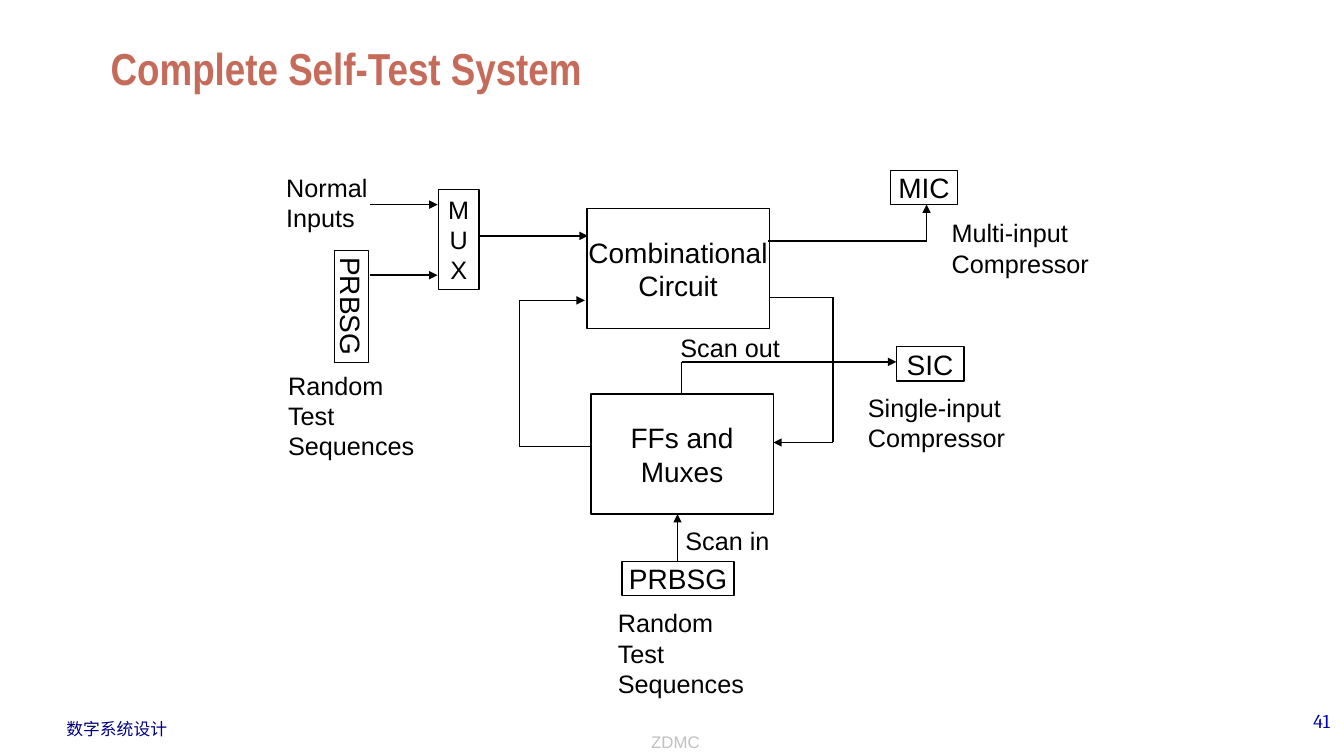
from lxml import etree
from pptx import Presentation
from pptx import util as u
from pptx.dml.color import RGBColor
from pptx.enum import shapes, text
from pptx.oxml import ns

PX = 9144
BLACK = RGBColor(0, 0, 0)
CORAL = RGBColor(0xC6, 0x6B, 0x5A)
NAVY = RGBColor(0, 0, 0x82)
BLUE = RGBColor(0, 0, 0xB6)
SILVER = RGBColor(0xC0, 0xC0, 0xC0)

LEFT, CENTER, RIGHT = text.PP_ALIGN.LEFT, text.PP_ALIGN.CENTER, text.PP_ALIGN.RIGHT
TOP, MIDDLE, BOTTOM = text.MSO_ANCHOR.TOP, text.MSO_ANCHOR.MIDDLE, text.MSO_ANCHOR.BOTTOM
SEQUENCES = "Random\nTest\vSequences"


def px(*lengths):
    return [u.Emu(length * PX) for length in lengths]


def apply(target, values):
    for name, value in values.items():
        setattr(target, name, value)


def write(shape, words, size, color=BLACK, align=LEFT, anchor=TOP, wrap=False, font="Arial", bold=False):
    frame = shape.text_frame
    frame.text = words
    apply(frame, {"word_wrap": wrap, "vertical_anchor": anchor})
    for paragraph in frame.paragraphs:
        paragraph.alignment = align
        for run in paragraph.runs:
            apply(run.font, {"name": font, "size": u.Pt(size), "bold": bold})
            run.font.color.rgb = color
            properties = run.font._element
            for tag in ("a:ea", "a:cs"):
                etree.SubElement(properties, ns.qn(tag), typeface=font)


def add_text(slide, box, words, size, **style):
    shape = slide.shapes.add_textbox(*px(*box))
    write(shape, words, size, **style)
    return shape


def add_label(slide, box, words):
    shape = add_text(slide, box, words, 18)
    shape.text_frame.auto_size = text.MSO_AUTO_SIZE.SHAPE_TO_FIT_TEXT


def add_block(slide, box, words, size=20, rotation=0):
    shape = slide.shapes.add_shape(shapes.MSO_SHAPE.RECTANGLE, *px(*box))
    shape.shadow.inherit = False
    shape.rotation = rotation
    shape.fill.background()
    shape.line.color.rgb = BLACK
    shape.line.width = u.Pt(1)
    write(shape, words, size, align=CENTER, anchor=MIDDLE)


def add_wire(slide, *points, arrow=True):
    for start, end in zip(points, points[1:]):
        wire = slide.shapes.add_connector(shapes.MSO_CONNECTOR.STRAIGHT, *px(*start, *end))
        wire.line.color.rgb = BLACK
        wire.line.width = u.Pt(1)
        properties = wire._element.spPr
        if arrow and end == points[-1]:
            etree.SubElement(properties.find(ns.qn("a:ln")), ns.qn("a:tailEnd"), type="triangle")
        etree.SubElement(properties, ns.qn("a:effectLst"))


def draw_frame(slide, box):
    left, top, width, height = box
    bottom = top + height
    add_text(slide, (left + 100, top + 25, 1133, 74), "Complete Self-Test System", 32,
             color=CORAL, anchor=BOTTOM, wrap=True, font="Arial Narrow", bold=True)
    add_text(slide, (left + 56, bottom - 42, 121, 30), "数字系统设计", 12, color=NAVY)
    add_text(slide, (left + width - 282, bottom - 52, 278, 50), "41", 14,
             color=BLUE, align=RIGHT, wrap=True, font="Cambria")
    add_text(slide, (left + 345, bottom - 50, 650, 51), "ZDMC", 12,
             color=SILVER, align=CENTER, anchor=BOTTOM, wrap=True)


def draw_input_stage(slide, box):
    left, top, width, height = box
    mux_left, mux_top = left + width - 40, top + 22
    add_label(slide, (left, top, 105, 71), "Normal\nInputs")
    add_block(slide, (left + 19, top + 121, 111, 34), "PRBSG", rotation=90)
    add_label(slide, (left + 2, top + height - 101, 146, 101), SEQUENCES)
    add_block(slide, (mux_left, mux_top, 40, 99), "M\nU\nX", size=18)
    for offset in (37, 107):
        add_wire(slide, (left + 93, top + offset), (mux_left - 1, top + offset))
    add_wire(slide, (left + width, top + 68), (left + width + 108, top + 68))


def draw_core(slide, box):
    left, top, width, height = box
    circuit_left, flops_left, flops_top = left + 67, left + 71, top + height - 119
    feedback_x, next_state_x = left, left + width
    add_block(slide, (circuit_left, top, 181, 119), "Combinational\nCircuit")
    add_block(slide, (flops_left, flops_top, 181, 119), "FFs and\nMuxes")
    add_wire(slide, (circuit_left + 181, top + 88), (next_state_x, top + 88),
             (next_state_x, flops_top + 48), (flops_left + 181, flops_top + 48))
    add_wire(slide, (flops_left, flops_top + 52), (feedback_x, flops_top + 52),
             (feedback_x, top + 91), (circuit_left - 2, top + 91))


def draw_compressor(slide, box, name, label, label_box):
    left, top, width, height = box
    label_left, label_top, label_width, label_height = label_box
    add_block(slide, box, name)
    add_label(slide, (left + label_left, top + label_top, label_width, label_height), label)


def draw_outputs(slide, box):
    left, top, width, height = box
    mic_x, mic_y = left + 157, top + 70
    scan_x, scan_y = left + 14, top + 190
    draw_compressor(slide, (left + 121, top, 67, 34), "MIC", "Multi-input\nCompressor", (51, 42, 158, 71))
    draw_compressor(slide, (left + 127, top + 175, 67, 34), "SIC", "Single-input\nCompressor", (-38, 40, 161, 71))
    add_wire(slide, (left, mic_y), (mic_x, mic_y), (mic_x, top + 34))
    scan_x = left - 86
    add_wire(slide, (scan_x, top + 222), (scan_x, scan_y), (left + 127, scan_y))
    add_label(slide, (scan_x - 11, top + 156, 122, 40), "Scan out")


def draw_scan_input(slide, box):
    left, top, width, height = box
    add_wire(slide, (left + 69, top + 47), (left + 69, top))
    add_label(slide, (left + 67, top + 6, 104, 40), "Scan in")
    add_block(slide, (left + 14, top + 47, 111, 34), "PRBSG")
    add_label(slide, (left, top + height - 101, 146, 101), SEQUENCES)


def main():
    presentation = Presentation()
    width, height = 1333, 750
    presentation.slide_width, presentation.slide_height = px(width, height)
    slide = presentation.slides.add_slide(presentation.slide_layouts[6])
    draw_frame(slide, (0, 0, width, height))
    draw_core(slide, (515, 207, 311, 303))
    draw_outputs(slide, (762, 169, 330, 286))
    draw_scan_input(slide, (603, 510, 171, 189))
    draw_input_stage(slide, (274, 166, 201, 297))
    presentation.save("out.pptx")


if __name__ == "__main__":
    main()
